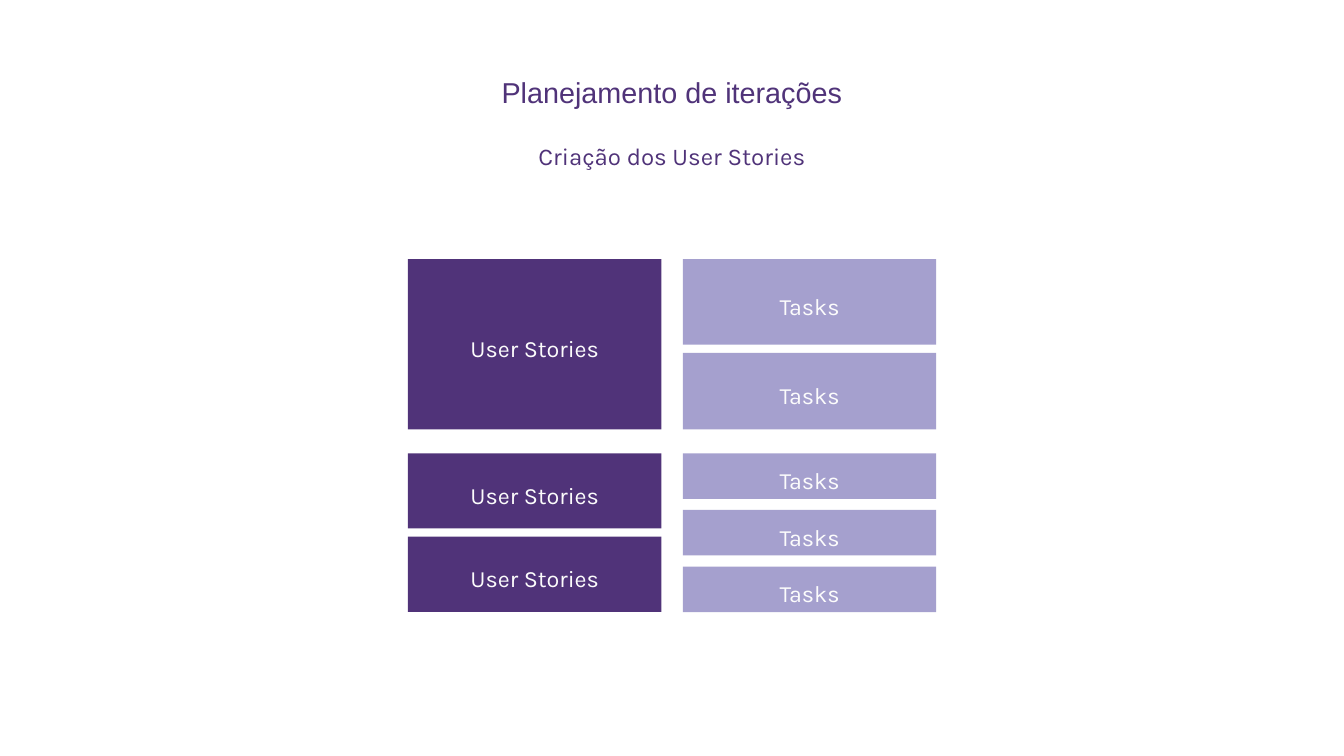
from pptx import Presentation
from pptx.dml.color import RGBColor
from pptx.enum.shapes import MSO_SHAPE
from pptx.enum.text import MSO_ANCHOR, PP_ALIGN
from pptx.util import Cm, Pt

RECTANGLE = MSO_SHAPE.RECTANGLE
TOP, MIDDLE = MSO_ANCHOR.TOP, MSO_ANCHOR.MIDDLE
CENTER = PP_ALIGN.CENTER

COLORS = {"story": "503379", "task": "A5A0CE", "label": "FCFCFC"}

HEADING_FRAME = {
    "word_wrap": True, "vertical_anchor": TOP,
    "margin_left": 0, "margin_right": 0, "margin_top": 0, "margin_bottom": 0,
}
CARD_FRAME = {
    "word_wrap": True, "vertical_anchor": MIDDLE,
    "margin_left": Cm(0.15), "margin_right": Cm(0.15),
    "margin_top": Cm(0.65), "margin_bottom": Cm(0.15),
}


def write(frame, text, frame_format, font_format, line_height, color):
    for name, value in frame_format.items():
        setattr(frame, name, value)
    paragraph = frame.paragraphs[0]
    for name, value in {"alignment": CENTER, "line_spacing": Pt(line_height)}.items():
        setattr(paragraph, name, value)
    run = paragraph.add_run()
    run.text = text
    for name, value in font_format.items():
        setattr(run.font, name, value)
    run.font.color.rgb = RGBColor.from_string(COLORS[color])


prs = Presentation()
prs.slide_width = Cm(50.8)
prs.slide_height = Cm(28.58)
slide = prs.slides.add_slide(prs.slide_layouts[6])

headings = [
    ("Planejamento de iterações", 2.59, 14.71, 1.47, "Arial", 30.8, 43.2),
    ("Criação dos User Stories", 5.16, 21.95, 1.22, "Karla", 25.8, 36.2),
]
for text, top, width, height, font, size, line_height in headings:
    heading = slide.shapes.add_textbox(Cm((50.8 - width) / 2), Cm(top), Cm(width), Cm(height))
    write(heading.text_frame, text, HEADING_FRAME,
          {"name": font, "size": Pt(size)}, line_height, "story")

CARD_WIDTH = 9.58
STORY_LEFT, TASK_LEFT = 15.42, 25.81
FIRST_TOP, SECOND_TOP = 9.8, 17.14
stacks = [
    ("User Stories", "story", STORY_LEFT, FIRST_TOP, 0, [6.43]),
    ("User Stories", "story", STORY_LEFT, SECOND_TOP, 0.31, [2.84, 2.84]),
    ("Tasks", "task", TASK_LEFT, FIRST_TOP, 0.31, [3.23, 2.89]),
    ("Tasks", "task", TASK_LEFT, SECOND_TOP, 0.42, [1.72, 1.72, 1.72]),
]
for text, color, left, top, gap, heights in stacks:
    for height in heights:
        card = slide.shapes.add_shape(RECTANGLE, Cm(left), Cm(top), Cm(CARD_WIDTH), Cm(height))
        card.shadow.inherit = False
        card.fill.solid()
        card.fill.fore_color.rgb = RGBColor.from_string(COLORS[color])
        card.line.fill.background()
        write(card.text_frame, text, CARD_FRAME,
              {"name": "Karla", "size": Pt(25)}, 24.7, "label")
        top += height + gap

prs.save("out.pptx")
